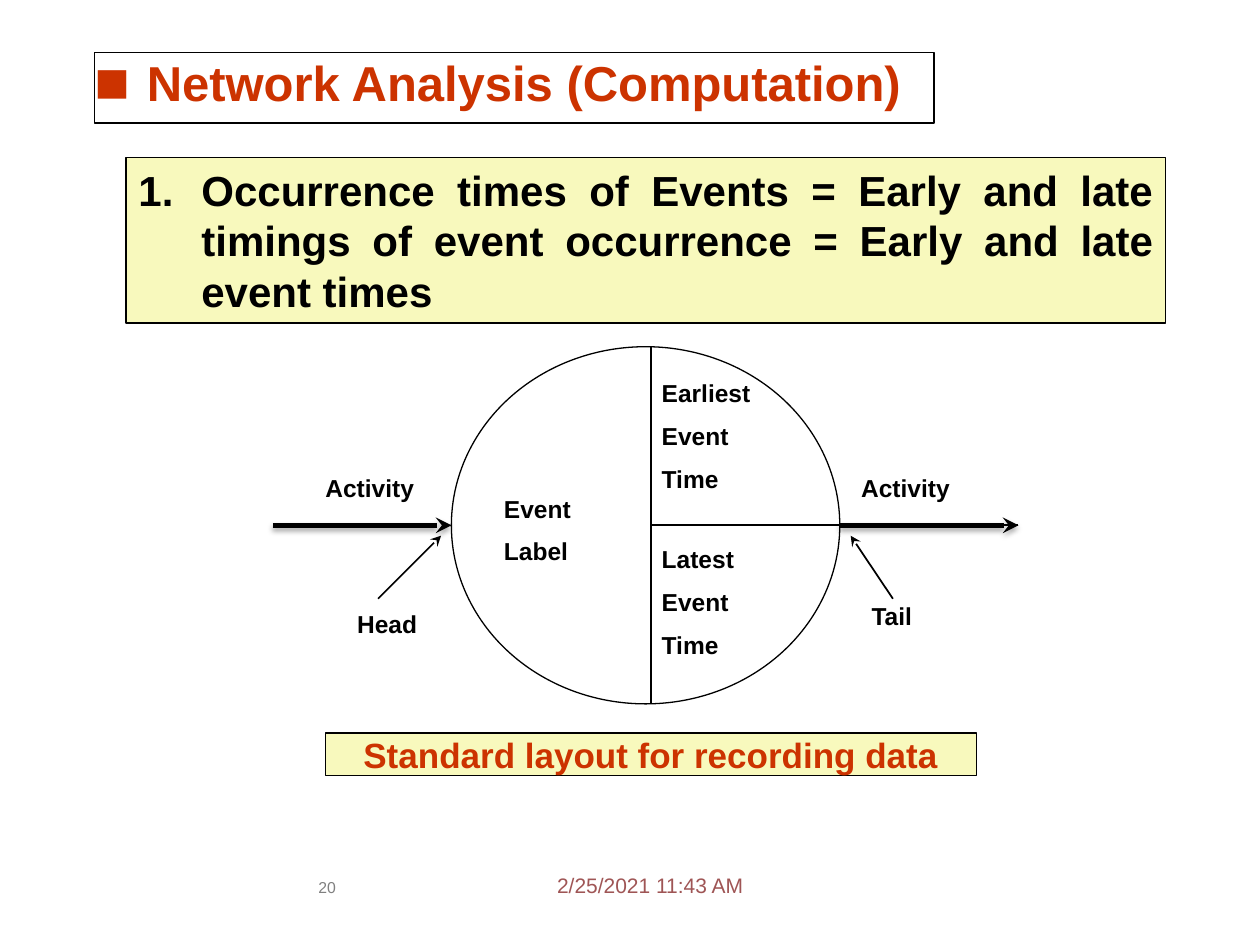
from lxml.etree import SubElement
from pptx import Presentation
from pptx.dml.color import RGBColor
from pptx.enum.shapes import MSO_CONNECTOR as Connector, MSO_SHAPE as Shape
from pptx.enum.text import MSO_ANCHOR as Anchor, MSO_AUTO_SIZE as AutoSize, PP_ALIGN as Align
from pptx.oxml.ns import qn
from pptx.util import Cm, Pt

# Content: boxes are left, top, width, height in cm
HEADING = "Network Analysis (Computation)"
HEADING_BOX = (1.9, 1.06, 16.93, 1.42)
DEFINITION = ("Occurrence times of Events = Early and late timings of event "
              "occurrence = Early and late event times")
DEFINITION_BOX = (2.54, 3.18, 20.96, 3.33)
CAPTION = "Standard layout for recording data"
CAPTION_BOX = (6.56, 14.78, 13.12, 0.86)
DATE = "2/25/2021 11:43 AM"
DATE_BOX = (11.23, 17.58, 4.24, 0.64)
PAGE = "20"
PAGE_BOX = (6.1, 17.7, 0.99, 0.86)

# Event circle and its labels: left, top, width, lines
EVENT_BOX = (9.1, 6.99, 7.83, 7.2)
DIVIDER_X = 13.12
ACTIVITY_LENGTH = 3.6
LABELS = [
    (13.34, 7.62, 4.02, ["Earliest", "Event", "Time"]),
    (13.34, 10.97, 2.97, ["Latest", "Event", "Time"]),
    (10.16, 9.95, 2.97, ["Event", "Label"]),
    (17.36, 9.53, 2.97, ["Activity"]),
    (17.57, 12.12, 2.97, ["Tail"]),
    (7.2, 12.28, 2.97, ["Head"]),
    (6.56, 9.53, 2.97, ["Activity"]),
]
POINTERS = [(18, 12.07, 17.15, 10.8), (7.62, 12.07, 8.89, 10.8)]
LINE_HEIGHT, LINE_PITCH = 0.59, 0.84

BLACK, WHITE, RED, YELLOW = "000000", "FFFFFF", "CC3300", "F8F9BD"


def color(hex_code):
    return RGBColor.from_string(hex_code)


def place(part, box):
    part.left, part.top, part.width, part.height = map(Cm, box)


def outline(part, fill):
    part.fill.solid()
    part.fill.fore_color.rgb = color(fill)
    part.line.color.rgb = color(BLACK)
    part.line.width = Pt(0.75)


def write(frame, lines, size, hex_code, bold=True, align=Align.LEFT, margins=(0, 0)):
    frame.word_wrap = True
    frame.auto_size = AutoSize.NONE
    frame.vertical_anchor = Anchor.TOP
    frame.margin_left = frame.margin_right = Cm(margins[0])
    frame.margin_top = frame.margin_bottom = Cm(margins[1])
    for index, line in enumerate(lines):
        paragraph = frame.add_paragraph() if index else frame.paragraphs[0]
        paragraph.alignment = align
        paragraph.space_before = Pt(7.7 if index else 0)
        run = paragraph.add_run()
        run.text = line
        font = run.font
        font.name, font.size, font.bold = "Arial", Pt(size), bold
        font.color.rgb = color(hex_code)


def add_text(box, lines, size, hex_code, **options):
    text = slide.shapes.add_textbox(*map(Cm, box))
    write(text.text_frame, lines, size, hex_code, **options)


def add_shape(kind, box, fill):
    part = slide.shapes.add_shape(kind, *map(Cm, box))
    part.shadow.inherit = False
    outline(part, fill)
    return part


def hang(paragraph, indent):
    properties = paragraph._p.get_or_add_pPr()
    properties.set("marL", str(Cm(indent)))
    properties.set("indent", str(-Cm(indent)))
    return properties


def add_line(ends, width=1, arrow=False, shadow=False):
    line = slide.shapes.add_connector(Connector.STRAIGHT, *map(Cm, ends))
    line.line.color.rgb = color(BLACK)
    line.line.width = Pt(width)
    if arrow:
        SubElement(line.line._get_or_add_ln(), qn("a:tailEnd"), type="stealth")
    effects = SubElement(line._element.spPr, qn("a:effectLst"))
    if shadow:
        outer = SubElement(effects, qn("a:outerShdw"), blurRad=str(Pt(3.1)),
                           dist=str(Pt(1.8)), dir="5400000", rotWithShape="0")
        tint = SubElement(outer, qn("a:srgbClr"), val=BLACK)
        SubElement(tint, qn("a:alpha"), val="35000")


presentation = Presentation()
presentation.slide_width, presentation.slide_height = Cm(25.4), Cm(19.05)
slide = presentation.slides.add_slide(presentation.slide_layouts[1])

# Heading with a square bullet
heading = slide.shapes.title
place(heading, HEADING_BOX)
outline(heading, WHITE)
bullet = hang(heading.text_frame.paragraphs[0], 1.06)
SubElement(SubElement(bullet, qn("a:buClr")), qn("a:srgbClr"), val=RED)
SubElement(bullet, qn("a:buSzPct"), val="120000")
SubElement(bullet, qn("a:buFont"), typeface="Arial")
SubElement(bullet, qn("a:buChar"), char="■")
write(heading.text_frame, [HEADING], 28, RED)

# Numbered definition
definition = slide.placeholders[1]
place(definition, DEFINITION_BOX)
outline(definition, YELLOW)
number = hang(definition.text_frame.paragraphs[0], 1.27)
SubElement(number, qn("a:buFont"), typeface="Arial")
SubElement(number, qn("a:buAutoNum"), type="arabicPeriod")
write(definition.text_frame, [DEFINITION], 24, BLACK,
      align=Align.JUSTIFY, margins=(0.25, 0.13))

# Event circle, split into label, earliest time and latest time
left, top, width, height = EVENT_BOX
right, bottom, middle = left + width, top + height, top + height / 2
add_shape(Shape.OVAL, EVENT_BOX, WHITE)
add_line((DIVIDER_X, top, DIVIDER_X, bottom))
add_line((DIVIDER_X, middle, right + ACTIVITY_LENGTH, middle))
for x, y, label_width, lines in LABELS:
    label_height = LINE_HEIGHT + LINE_PITCH * (len(lines) - 1)
    add_text((x, y, label_width, label_height), lines, 14, BLACK)

# Activity arrows and the pointers to their head and tail
for start in (left - ACTIVITY_LENGTH, right):
    add_line((start, middle, start + ACTIVITY_LENGTH, middle), 3, arrow=True, shadow=True)
for pointer in POINTERS:
    add_line(pointer, arrow=True)

# Caption and footer
caption = add_shape(Shape.RECTANGLE, CAPTION_BOX, YELLOW)
write(caption.text_frame, [CAPTION], 20, RED, align=Align.CENTER)
add_text(DATE_BOX, [DATE], 12, "9F5555", bold=False)
add_text(PAGE_BOX, [PAGE], 9, "808080", bold=False, align=Align.CENTER)

presentation.save("out.pptx")
